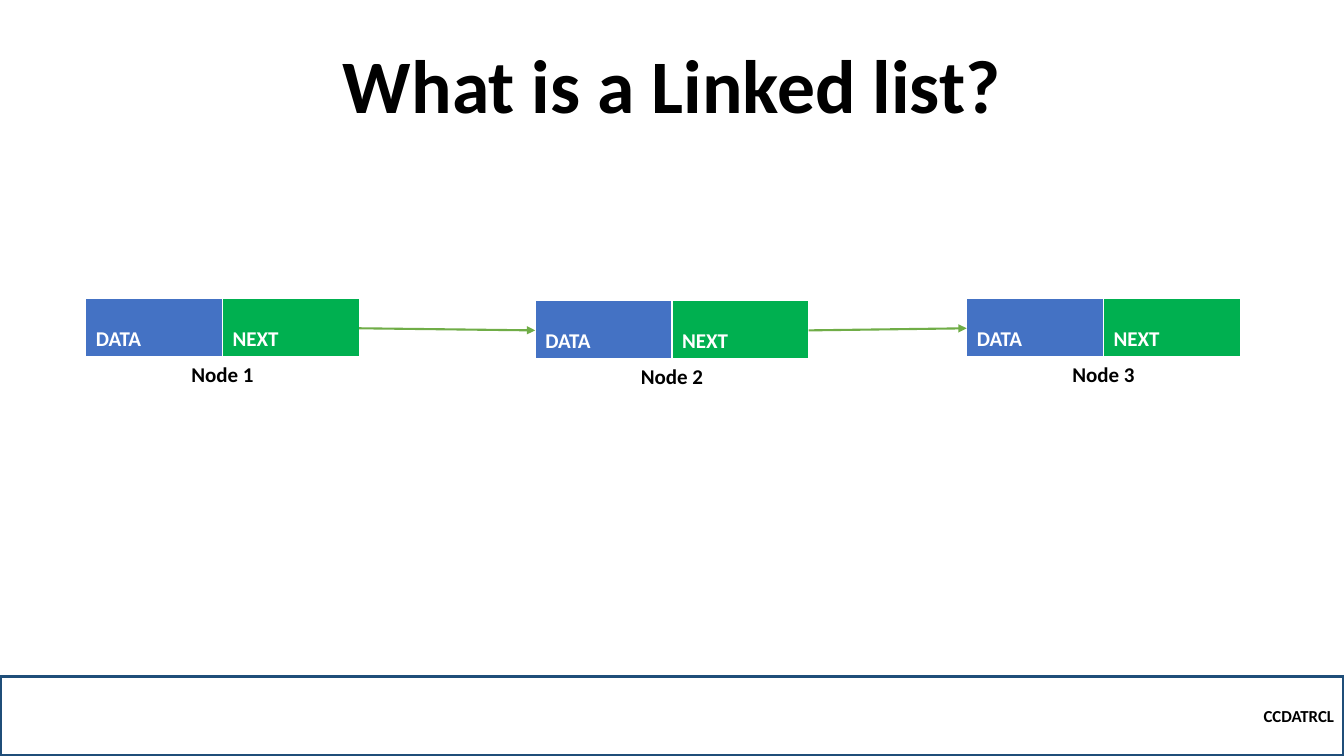
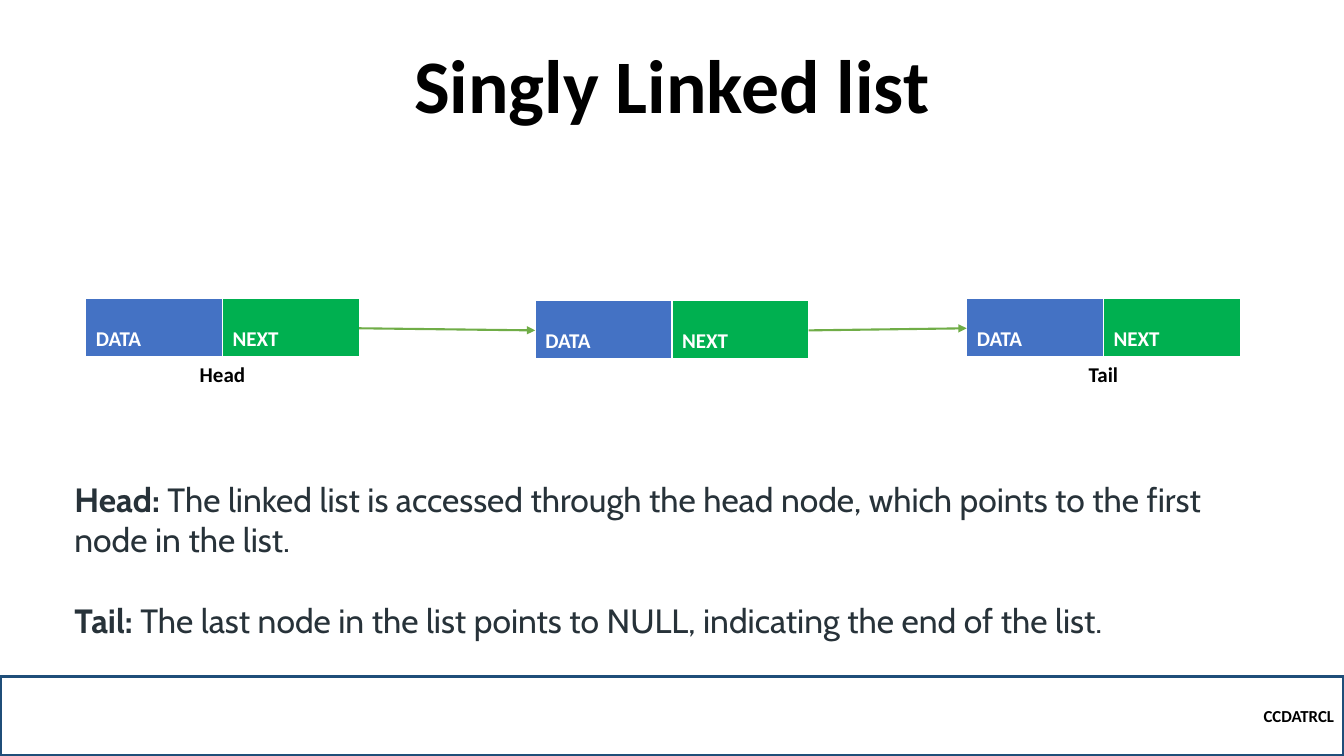
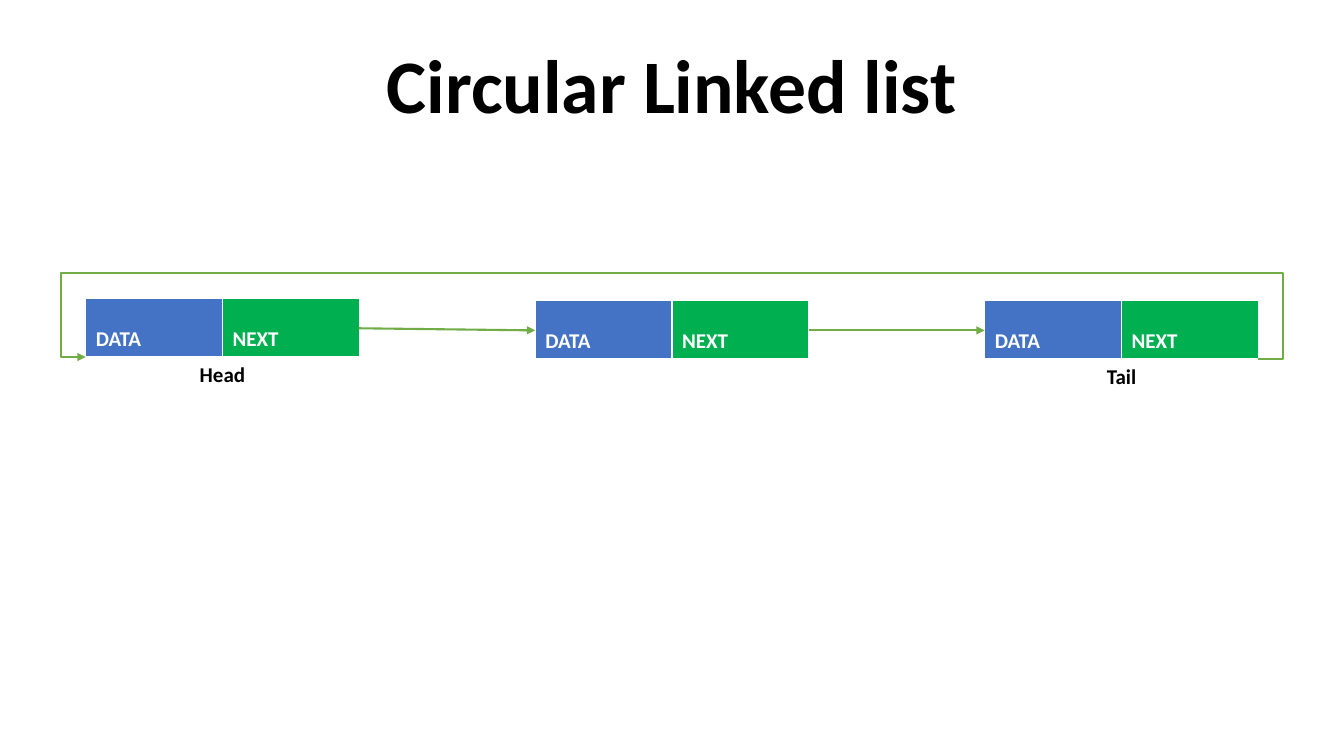
"""Three slides on linked lists: nodes drawn as tables, joined by arrows."""
from pptx import Presentation
from pptx.dml.color import RGBColor
from pptx.enum import shapes, text
from pptx.oxml import ns
from pptx.util import Pt
from lxml import etree

SLIDE_W, SLIDE_H = 960, 540
BLACK, WHITE, INK = "000000", "FFFFFF", "273239"
DATA_BLUE, NEXT_GREEN = "4472C4", "00B050"
ARROW_GREEN, BAND_BLUE = "70AD47", "1F4E79"
FONT, BODY_FONT = "Calibri", "Cabin"

NODE_W, ROW_H = 195.4, 42
FIRST_X, NODE_STEP = 61.2, 321.1
HIGH_Y, LOW_Y = 213, 214.5
ARROW_DROP = 21.5
HEAD_SPOT = (FIRST_X, HIGH_Y)
MIDDLE_SPOT = (FIRST_X + NODE_STEP, LOW_Y)
TAIL_SPOT = (690.5, HIGH_Y)
FAR_TAIL_SPOT = (FIRST_X + 2 * NODE_STEP, LOW_Y)


def rgb(value):
    """Turn a hex string into a colour."""
    return RGBColor.from_string(value)


def style(paragraph, size, color=BLACK, bold=True, font=FONT, align=None):
    """Set the font and alignment of a whole paragraph."""
    paragraph.font.size = Pt(size)
    paragraph.font.name = font
    paragraph.font.bold = bold
    paragraph.font.color.rgb = rgb(color)
    paragraph.alignment = align


def titled_slide(deck, heading):
    """Add a title-only slide with its heading in place."""
    slide = deck.slides.add_slide(deck.slide_layouts[5])
    title = slide.shapes.title
    title.left, title.top = Pt(120), Pt(39)
    title.width, title.height = Pt(720), Pt(57)
    frame = title.text_frame
    frame.text = heading
    frame.auto_size = text.MSO_AUTO_SIZE.NONE
    frame.vertical_anchor = text.MSO_ANCHOR.BOTTOM
    style(frame.paragraphs[0], 54, align=text.PP_ALIGN.CENTER)
    frame.paragraphs[0].line_spacing = 0.9
    return slide


def footer_band(slide, height=57):
    """Outline the bottom band, with the course code at its right."""
    band = slide.shapes.add_shape(
        shapes.MSO_SHAPE.RECTANGLE,
        Pt(0), Pt(SLIDE_H - height), Pt(SLIDE_W), Pt(height))
    band.shadow.inherit = False
    band.fill.background()
    band.line.color.rgb = rgb(BAND_BLUE)
    band.line.width = Pt(2.25)
    band.text_frame.text = "CCDATRCL"
    band.text_frame.vertical_anchor = text.MSO_ANCHOR.MIDDLE
    style(band.text_frame.paragraphs[0], 12, align=text.PP_ALIGN.RIGHT)


def fill_cell(cell, words, fill, color, align=None):
    """Fill a cell and write its words, if any."""
    cell.fill.solid()
    cell.fill.fore_color.rgb = rgb(fill)
    cell.text = words
    style(cell.text_frame.paragraphs[0], 15, color, align=align)


def node(slide, spot, label):
    """Place one list node: DATA and NEXT fields above a label."""
    left, top = spot
    frame = slide.shapes.add_table(
        2, 2, Pt(left), Pt(top), Pt(NODE_W), Pt(2 * ROW_H))
    table = frame.table
    fields = (("DATA", DATA_BLUE), ("NEXT", NEXT_GREEN))
    for column, (field, fill) in enumerate(fields):
        cell = table.cell(0, column)
        fill_cell(cell, field, fill, WHITE)
        cell.vertical_anchor = text.MSO_ANCHOR.BOTTOM
    caption = table.cell(1, 0)
    caption.merge(table.cell(1, 1))
    fill_cell(caption, label, WHITE, BLACK, text.PP_ALIGN.CENTER)
    return frame


def arrow(slide, start, end, kind=shapes.MSO_CONNECTOR.STRAIGHT):
    """Draw a green arrow from start to end."""
    link = slide.shapes.add_connector(kind, *map(Pt, start + end))
    link.line.color.rgb = rgb(ARROW_GREEN)
    link.line.width = Pt(1.5)
    etree.SubElement(link.line._get_or_add_ln(), ns.qn("a:tailEnd"),
                     type="triangle")
    etree.SubElement(link._element.spPr, ns.qn("a:effectLst"))
    return link


def node_chain(slide, spots, labels):
    """Place the nodes and point each one at the next."""
    nodes = [node(slide, spot, label) for spot, label in zip(spots, labels)]
    for (left, top), (next_left, next_top) in zip(spots, spots[1:]):
        arrow(slide, (left + NODE_W, top + ARROW_DROP),
              (next_left, next_top + ARROW_DROP))
    return nodes


def loop_back(slide, tail, head, margin=17.5, rise=61.2):
    """Lead an arrow from the tail, over all nodes, back to the head."""
    link = arrow(slide, (0, 0), (0, 0), shapes.MSO_CONNECTOR.ELBOW)
    link.begin_connect(tail, 3)
    link.end_connect(head, 1)
    side = Pt(margin) / link.width
    bends = (-side, Pt(rise) / link.height, 1 + side)
    geometry = link._element.spPr.find(ns.qn("a:prstGeom"))
    geometry.set("prst", "bentConnector5")
    guides = geometry.find(ns.qn("a:avLst"))
    for number, bend in enumerate(bends, 1):
        etree.SubElement(guides, ns.qn("a:gd"), name=f"adj{number}",
                         fmla=f"val {round(bend * 100000)}")


def definitions(slide, box, entries):
    """Write terms in bold, each followed by its meaning."""
    frame = slide.shapes.add_textbox(*map(Pt, box)).text_frame
    frame.word_wrap = True
    for index, (term, meaning) in enumerate(entries):
        paragraph = frame.add_paragraph() if index else frame.paragraphs[0]
        style(paragraph, 24, INK, bold=False, font=BODY_FONT)
        paragraph.space_before = Pt(29 if index else 0)
        for words, bold in ((term, True), (meaning, False)):
            run = paragraph.add_run()
            run.text = words
            run.font.bold = bold


def linked_list_slide(deck):
    """Show what a linked list is."""
    slide = titled_slide(deck, "What is a Linked list?")
    footer_band(slide)
    node_chain(slide, (HEAD_SPOT, MIDDLE_SPOT, TAIL_SPOT),
               ("Node 1", "Node 2", "Node 3"))


def singly_slide(deck):
    """Show a singly linked list and define head and tail."""
    slide = titled_slide(deck, "Singly Linked list")
    footer_band(slide)
    definitions(slide, (46.1, 338.4, 867.6, 123.8), (
        ("Head:\u00a0", "The linked list is accessed through the head node, "
         "which points to the first node in the list."),
        ("Tail: ", "The last node in the list points to NULL, "
         "indicating the end of the list.")))
    node_chain(slide, (HEAD_SPOT, MIDDLE_SPOT, TAIL_SPOT),
               ("Head", "", "Tail"))


def circular_slide(deck):
    """Show a list whose tail points back to its head."""
    slide = titled_slide(deck, "Circular Linked list")
    head, _, tail = node_chain(
        slide, (HEAD_SPOT, MIDDLE_SPOT, FAR_TAIL_SPOT), ("Head", "", "Tail"))
    loop_back(slide, tail, head)


def main():
    """Build and save the deck."""
    deck = Presentation()
    deck.slide_width, deck.slide_height = Pt(SLIDE_W), Pt(SLIDE_H)
    linked_list_slide(deck)
    singly_slide(deck)
    circular_slide(deck)
    deck.save("out.pptx")


main()
